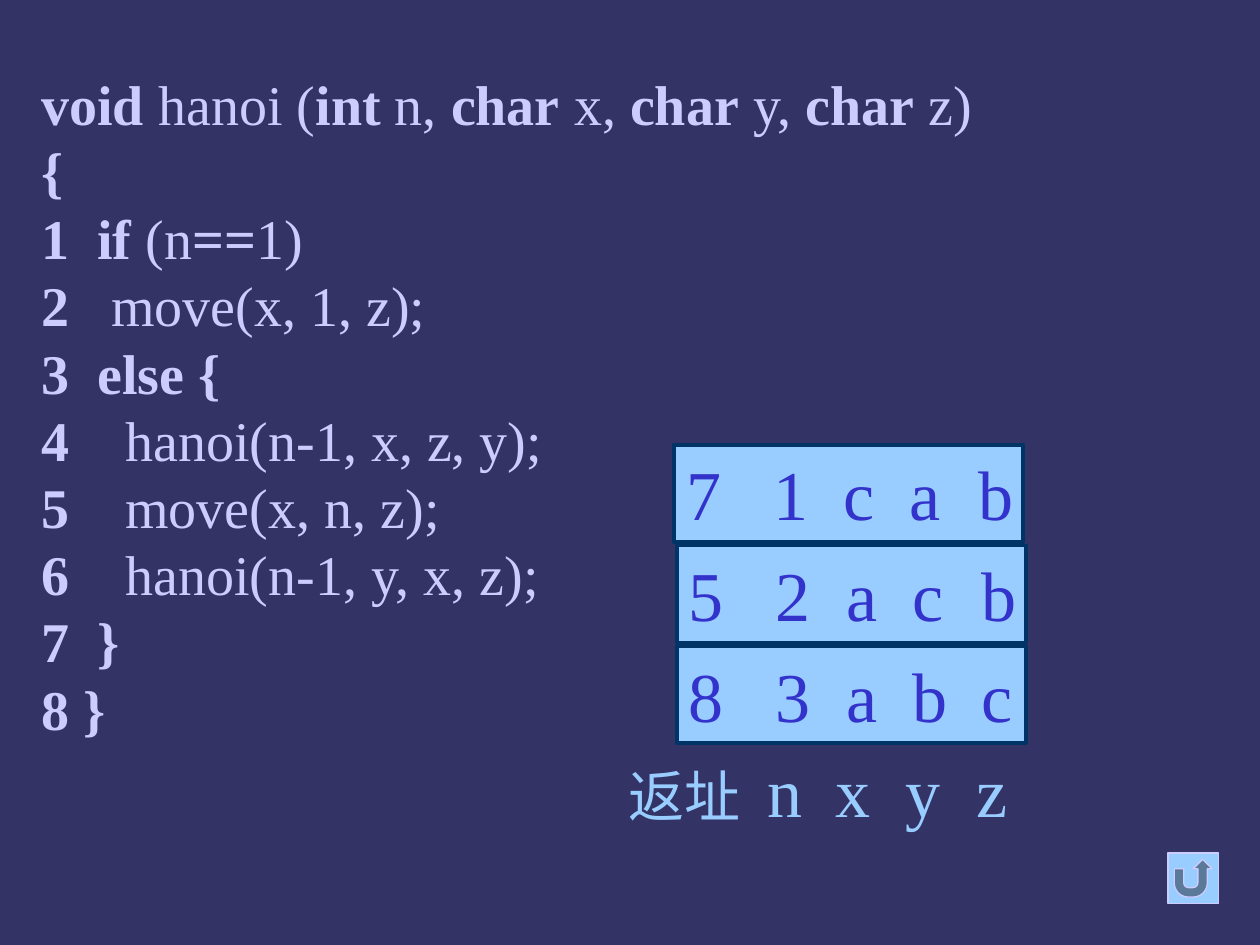
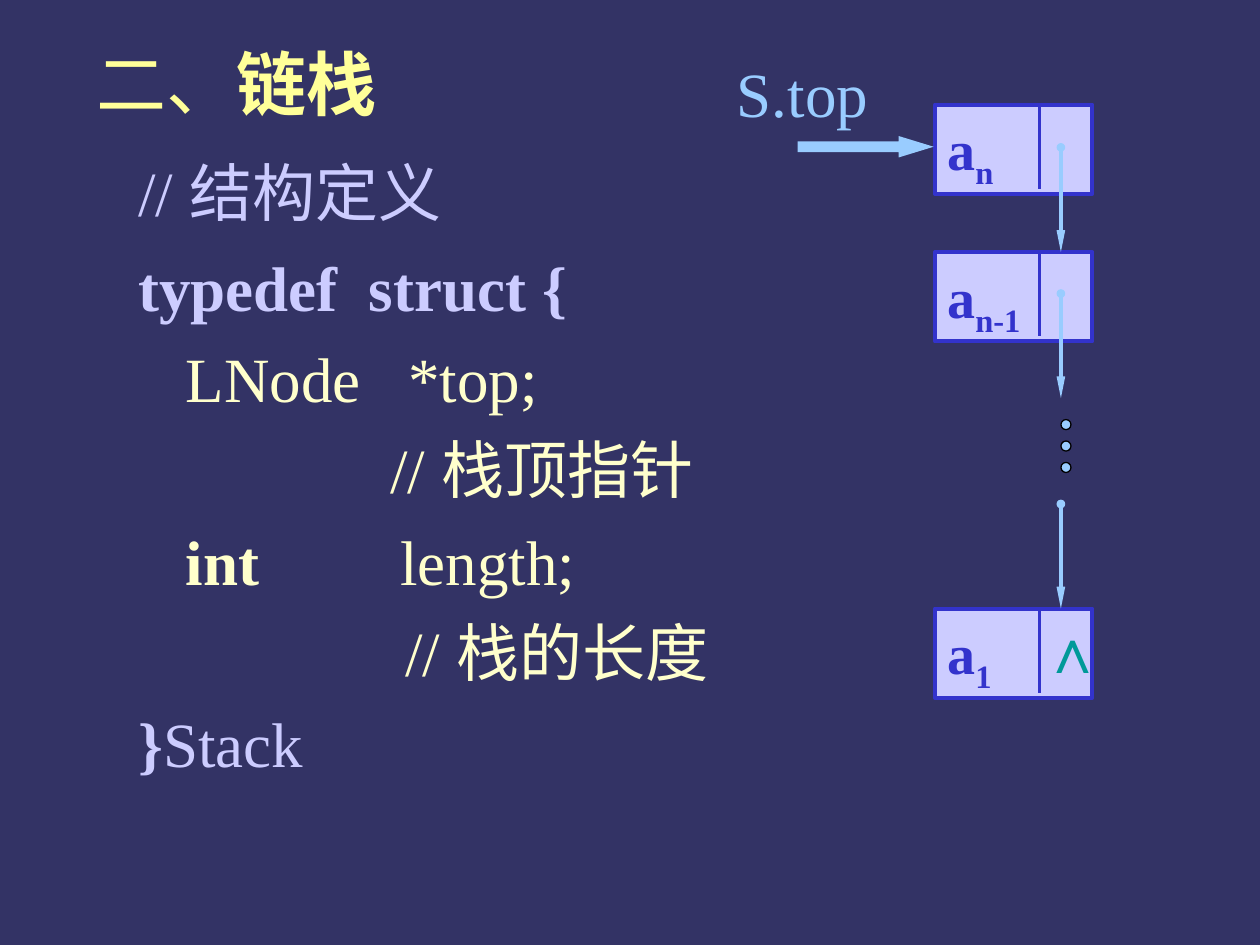
from lxml import etree
from pptx import Presentation
from pptx.dml.color import RGBColor
from pptx.enum import shapes, text
from pptx.oxml.ns import qn
from pptx.util import Inches, Pt

# Shared look
NAVY = RGBColor(0x33, 0x33, 0x65)
SKY = RGBColor(0x99, 0xCC, 0xFF)
LAVENDER = RGBColor(0xCC, 0xCC, 0xFF)
INDIGO = RGBColor(0x33, 0x33, 0xCC)
DEEP_BLUE = RGBColor(0x00, 0x33, 0x66)
YELLOW = RGBColor(0xFF, 0xFF, 0x99)
CREAM = RGBColor(0xFF, 0xFF, 0xCC)
TEAL = RGBColor(0x00, 0x99, 0x99)
BLACK = RGBColor(0, 0, 0)
SERIF, SANS = "Times New Roman", "Arial"
LINE_RATIO = 1.2

# Slide 1: segments between bars alternate bold and plain, bold first
HANOI_CODE = [
    "void |hanoi (|int| n, |char| x, |char| y, |char| z)",
    "{",
    "1  if |(n|==|1)",
    "2|   move(x, 1, z);",
    "3  else {",
    "4|    hanoi(n-1, x, z, y);",
    "5|    move(x, n, z);",
    "6|    hanoi(n-1, y, x, z);",
    "7  }",
    "8 }",
]
# Stack frames from the bottom up: left edge, values
FRAMES = [(5.37, "83abc"), (5.37, "52acb"), (5.35, "71cab")]
FRAME_TABS = [0.69, 1.25, 1.77, 2.32]
FRAME_BOTTOM_TOP, FRAME_STEP = 5.13, 0.8
FIELD_TABS = [1.1, 1.64, 2.2, 2.76]

# Slide 2: each line is (runs, tab stops), a run is (text, colour, bold)
STRUCT_CODE = [
    ([("typedef\tstruct {", LAVENDER, True)], [1.83]),
    ([("   LNode\t*top;", CREAM, False)], [2.14]),
    ([("\t// 栈顶指针", CREAM, False)], [2]),
    ([("   ", CREAM, False), ("int", CREAM, True), ("\tlength;", CREAM, False)], [2.08]),
    ([("\t// 栈的长度", CREAM, False)], [2.12]),
    ([("}", LAVENDER, True), ("Stack", LAVENDER, False)], []),
]
NODES = [("n", 0.83), ("n-1", 2), ("1", 4.83)]
NODE_LEFT, NODE_W, NODE_H = 7.42, 1.25, 0.71
DIVIDER_X, DIVIDER_H = 8.25, 0.67
LINK_X, LINK_H = 8.42, 0.83
LINK_TOPS = [1.17, 2.33, 4]
DOT_TOP, DOT_STEP, DOT_SIZE, DOT_COUNT = 3.33, 0.17, 0.08, 3


def new_slide(prs):
    slide = prs.slides.add_slide(prs.slide_layouts[6])
    slide.background.fill.solid()
    slide.background.fill.fore_color.rgb = NAVY
    return slide


def add_run(p, content, size, color, bold=False, font=SERIF):
    r = p.add_run()
    r.text = content
    r.font.size, r.font.bold, r.font.name = Pt(size), bold, font
    r.font.color.rgb = color
    return r


def style_paragraph(p, size, tabs=(), before=0):
    p.alignment = text.PP_ALIGN.LEFT
    p.line_spacing = Pt(size * LINE_RATIO)
    if before:
        p.space_before = Pt(before)
    if tabs:
        tab_list = etree.SubElement(p._p.get_or_add_pPr(), qn("a:tabLst"))
        for stop in tabs:
            etree.SubElement(tab_list, qn("a:tab"), pos=str(Inches(stop)), algn="l")


def set_frame(sp, wrap=True):
    tf = sp.text_frame
    tf.word_wrap = wrap
    tf.vertical_anchor = text.MSO_ANCHOR.TOP
    tf.margin_right = 0
    return tf


def add_text(slide, box, lines, size, before=0, font=SERIF):
    tf = set_frame(slide.shapes.add_textbox(*map(Inches, box)))
    for i, (runs, tabs) in enumerate(lines):
        p = tf.add_paragraph() if i else tf.paragraphs[0]
        style_paragraph(p, size, tabs, before if i else 0)
        for content, color, bold in runs:
            add_run(p, content, size, color, bold, font)
    return tf


def add_shape(slide, kind, box, fill, line=None, width=2.25):
    sp = slide.shapes.add_shape(kind, *map(Inches, box))
    sp.shadow.inherit = False
    sp.fill.solid()
    sp.fill.fore_color.rgb = fill
    if line is None:
        sp.line.fill.background()
    else:
        sp.line.color.rgb, sp.line.width = line, Pt(width)
    return sp


def add_vertical(slide, x, top, height, color, width, link=False):
    line = slide.shapes.add_connector(
        shapes.MSO_CONNECTOR.STRAIGHT, *map(Inches, (x, top, x, top + height)))
    line.line.color.rgb, line.line.width = color, Pt(width)
    if link:
        ln = line.line._get_or_add_ln()
        etree.SubElement(ln, qn("a:headEnd"), type="oval", w="sm", len="sm")
        etree.SubElement(ln, qn("a:tailEnd"), type="triangle", w="sm", len="lg")
    etree.SubElement(line._element.spPr, qn("a:effectLst"))


def build_hanoi(prs):
    slide = new_slide(prs)

    # Code listing
    code = [([(part, LAVENDER, i % 2 == 0) for i, part in enumerate(row.split("|"))], [])
            for row in HANOI_CODE]
    add_text(slide, (0.23, 0.5, 7.61, 5.44), code, 32)

    # Stack frames
    for level, (left, values) in enumerate(FRAMES):
        top = FRAME_BOTTOM_TOP - level * FRAME_STEP
        sp = add_shape(slide, shapes.MSO_SHAPE.RECTANGLE, (left, top, 2.77, 0.77),
                       SKY, DEEP_BLUE)
        p = set_frame(sp).paragraphs[0]
        style_paragraph(p, 40, FRAME_TABS)
        add_run(p, "\t".join(values), 40, INDIGO)

    # Field names under the stack
    tf = set_frame(slide.shapes.add_textbox(*map(Inches, (4.89, 5.88, 3.33, 0.77))))
    p = tf.paragraphs[0]
    style_paragraph(p, 40, FIELD_TABS)
    add_run(p, "返址", 32, SKY)
    add_run(p, "\tn\tx\ty\tz", 40, SKY)

    # Return button
    add_shape(slide, shapes.MSO_SHAPE.ACTION_BUTTON_RETURN, (9.27, 6.77, 0.4, 0.4),
              SKY, LAVENDER, 0.75)


def build_linked_stack(prs):
    slide = new_slide(prs)

    # Title and structure definition
    title = [("二、", YELLOW, False), ("链栈", YELLOW, True)]
    add_text(slide, (0.67, 0.27, 2.6, 0.77), [(title, [])], 40)
    add_text(slide, (1, 1.17, 2.92, 0.7), [([("// 结构定义", LAVENDER, False)], [])], 36)
    add_text(slide, (1, 1.92, 5.08, 4.33), STRUCT_CODE, 36, before=9)

    # Nodes
    for index, top in NODES:
        sp = add_shape(slide, shapes.MSO_SHAPE.RECTANGLE,
                       (NODE_LEFT, top, NODE_W, NODE_H), LAVENDER, INDIGO)
        tf = set_frame(sp)
        tf.margin_top = Inches(0.08)
        p = tf.paragraphs[0]
        p.alignment = text.PP_ALIGN.LEFT
        add_run(p, "a", 32, INDIGO, True)
        sub = add_run(p, index, 32, INDIGO, True)
        sub.font._element.set("baseline", "-25000")
        add_vertical(slide, DIVIDER_X, top, DIVIDER_H, INDIGO, 2.25)

    # Links and omitted nodes
    for top in LINK_TOPS:
        add_vertical(slide, LINK_X, top, LINK_H, SKY, 2.5, link=True)
    for i in range(DOT_COUNT):
        add_shape(slide, shapes.MSO_SHAPE.OVAL,
                  (LINK_X, DOT_TOP + i * DOT_STEP, DOT_SIZE, DOT_SIZE), SKY, BLACK, 0.75)
    add_text(slide, (8.17, 4.8, 0.58, 0.7), [([("∧", TEAL, True)], [])], 36, font=SANS)

    # Top pointer
    arrow = add_shape(slide, shapes.MSO_SHAPE.RIGHT_ARROW, (6.33, 1.08, 1.08, 0.17), SKY)
    arrow.adjustments[0], arrow.adjustments[1] = 0.5, 1.63
    add_text(slide, (5.75, 0.38, 1.33, 0.7), [([("S.top", SKY, False)], [])], 36)


def main():
    prs = Presentation()
    prs.slide_width, prs.slide_height = Inches(10), Inches(7.5)
    build_hanoi(prs)
    build_linked_stack(prs)
    prs.save("out.pptx")


if __name__ == "__main__":
    main()
